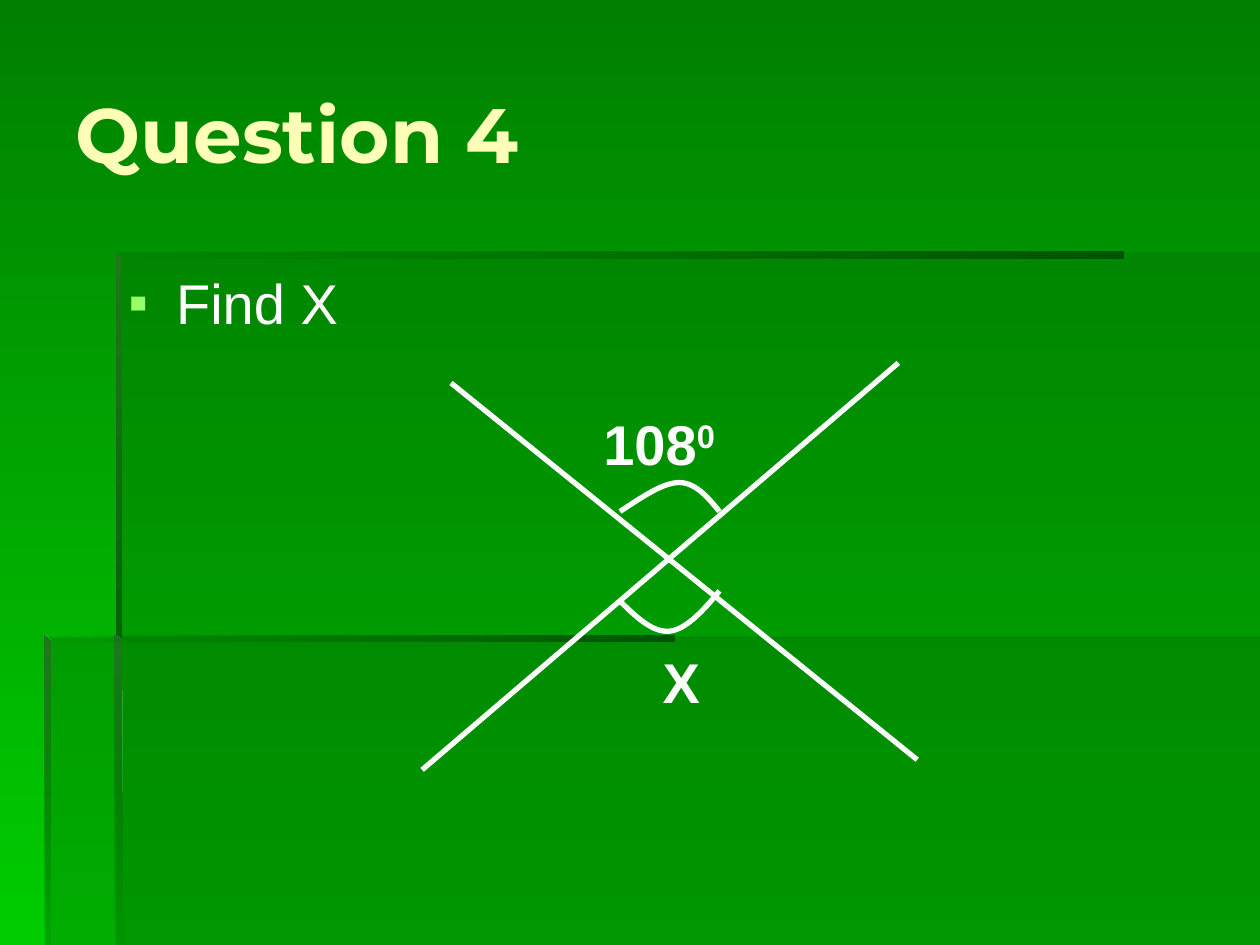
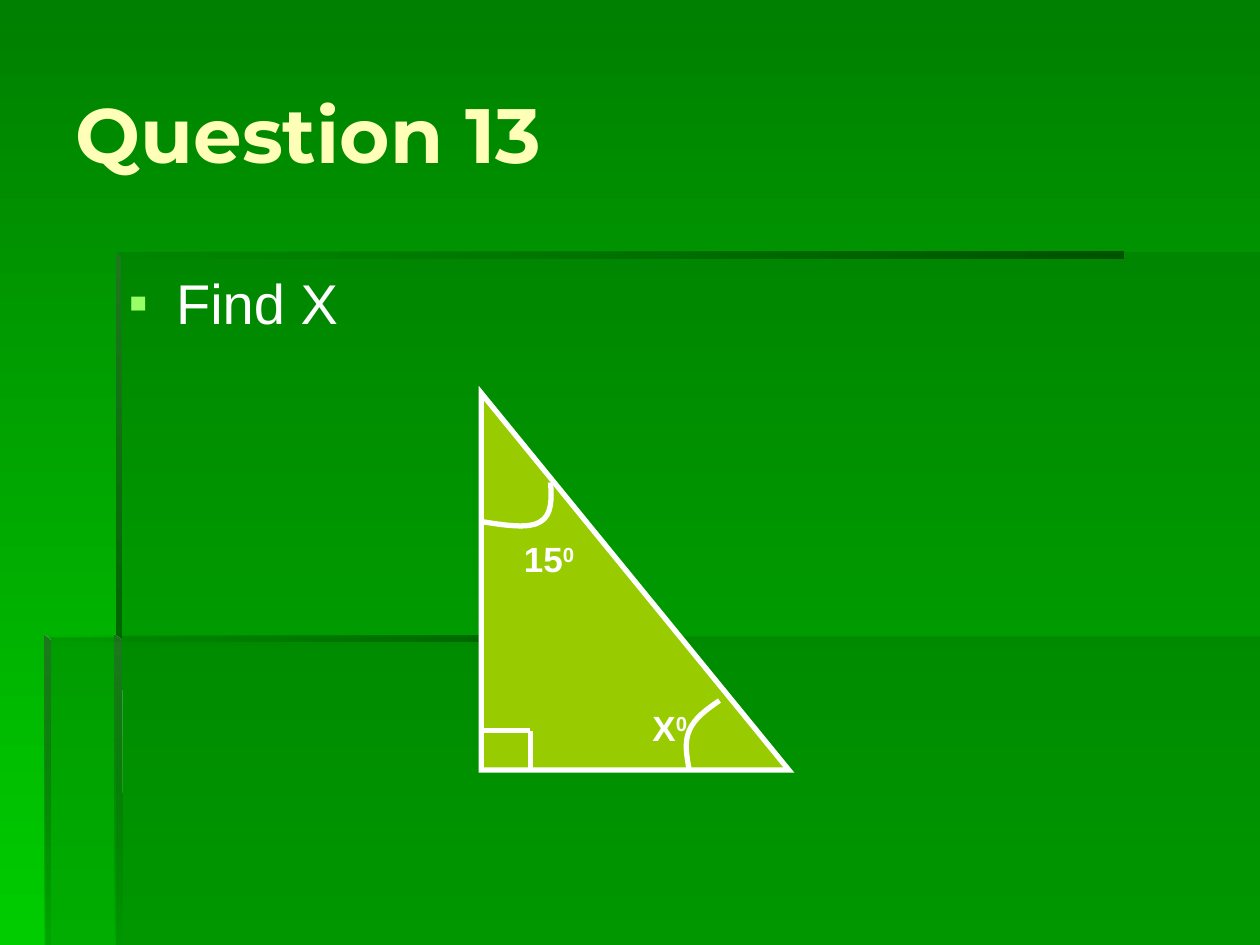
from dataclasses import dataclass
from typing import NamedTuple

from lxml.etree import SubElement
from pptx import Presentation
from pptx.dml.color import RGBColor
from pptx.dml.fill import FillFormat
from pptx.dml.line import LineFormat
from pptx.enum.shapes import MSO_CONNECTOR, MSO_SHAPE
from pptx.enum.text import MSO_ANCHOR, MSO_AUTO_SIZE, PP_ALIGN
from pptx.oxml.ns import qn
from pptx.presentation import Presentation as Deck
from pptx.shapes.freeform import FreeformBuilder
from pptx.slide import Slide
from pptx.text.text import TextFrame
from pptx.util import Inches, Pt

Point = tuple[float, float]


@dataclass(frozen=True)
class Theme:
    sky_top: str = "008000"
    sky_bottom: str = "00CC00"
    panel: str = "006600"
    ledge: str = "005300"
    post: str = "1E781E"
    title: str = "FFFFB7"
    chalk: str = "FFFFFF"
    bullet: str = "99FF66"
    triangle: str = "99CC00"
    title_font: str = "Montserrat"
    body_font: str = "Arial"
    title_size: int = 44
    body_size: int = 32
    small_size: int = 20
    stroke: int = 3


THEME = Theme()


class Panel(NamedTuple):
    corners: list[Point]
    opacity: int


class Edge(NamedTuple):
    corners: list[Point]
    start: str
    angle: int
    end_opacity: int


class Label(NamedTuple):
    text: str
    left: float
    top: float
    width: float
    height: float
    size: int
    space_before: float
    degree: str = ""


class Stroke(NamedTuple):
    begin: Point
    end: Point


LEFTWARD, DOWNWARD = 180, 270

PANELS = [
    Panel([(0.92, 5.05), (0.92, 7.5), (10, 7.5), (10, 5.05)], 30),
    Panel([(0.94, 5.06), (0.36, 5.06), (0.36, 7.5), (10, 7.5), (10, 2), (0.94, 2)], 30),
]
EDGES = [
    Edge([(0.92, 2), (0.92, 2.05), (8.92, 2.05), (8.92, 2)], THEME.ledge, LEFTWARD, 0),
    Edge([(0.92, 2), (0.92, 5.1), (0.97, 5.1), (0.96, 2.04)], THEME.post, DOWNWARD, 100),
    Edge([(0.91, 7.5), (0.97, 7.5), (0.96, 5.08), (0.91, 5.04)], THEME.post, DOWNWARD, 0),
    Edge([(0.35, 5.04), (0.35, 5.09), (5.35, 5.09), (5.35, 5.04)], THEME.ledge, LEFTWARD, 0),
    Edge([(0.35, 5.04), (0.35, 7.5), (0.4, 7.5), (0.4, 5.09)], THEME.post, DOWNWARD, 10),
]

CROSSING_LINES = [
    Stroke((3.58, 3.04), (7.28, 6.03)),
    Stroke((7.13, 2.88), (3.35, 6.11)),
]
CROSSING_ARCS = [
    [(4.92, 4.06), (5.09, 3.95), (5.26, 3.83), (5.39, 3.83),
     (5.52, 3.83), (5.62, 3.95), (5.71, 4.06)],
    [(4.92, 4.77), (5.05, 4.9), (5.18, 5.02), (5.31, 5.01),
     (5.44, 5), (5.58, 4.85), (5.71, 4.69)],
]
CROSSING_LABELS = [
    Label("108", 4.69, 3.2, 1.34, 0.64, THEME.body_size, 20, "0"),
    Label("X", 5.16, 5.09, 0.71, 0.64, THEME.body_size, 20),
]

RIGHT_ANGLE_MARK = [
    Stroke((3.82, 5.8), (4.21, 5.8)),
    Stroke((4.21, 5.8), (4.21, 6.11)),
]
TRIANGLE_ARCS = [
    [(3.82, 4.14), (4.01, 4.17), (4.2, 4.2), (4.29, 4.14),
     (4.38, 4.09), (4.38, 3.96), (4.37, 3.83)],
    [(5.71, 5.56), (5.61, 5.63), (5.51, 5.7), (5.47, 5.8),
     (5.43, 5.89), (5.45, 6), (5.47, 6.11)],
]
TRIANGLE_LABELS = [
    Label("X", 5.08, 5.56, 0.63, 0.44, THEME.small_size, 12.5, "0"),
    Label("15", 4.06, 4.22, 0.63, 0.44, THEME.small_size, 12.5, "0"),
]


def rgb(code: str) -> RGBColor:
    return RGBColor.from_string(code)


def write(frame: TextFrame, text: str, *, size: float, color: str = THEME.chalk,
          font: str = THEME.body_font, bold: bool = False, superscript: str = "",
          space_before: float = 0, anchor: MSO_ANCHOR = MSO_ANCHOR.TOP,
          fit: MSO_AUTO_SIZE = MSO_AUTO_SIZE.NONE, bullet: str = "") -> None:
    frame.word_wrap = True
    frame.auto_size = fit
    frame.vertical_anchor = anchor
    paragraph = frame.paragraphs[0]
    paragraph.alignment = PP_ALIGN.LEFT
    paragraph.space_before = Pt(space_before)
    for part in filter(None, (text, superscript)):
        run = paragraph.add_run()
        run.text = part
        run.font.name = font
        run.font.size = Pt(size)
        run.font.bold = bold
        run.font.color.rgb = rgb(color)
    if superscript:
        run.font._element.set("baseline", "30000")
    if bullet:
        properties = paragraph._p.get_or_add_pPr()
        properties.set("marL", str(Inches(0.38)))
        properties.set("indent", str(Inches(-0.38)))
        bullet_color = SubElement(properties, qn("a:buClr"))
        SubElement(bullet_color, qn("a:srgbClr"), val=THEME.bullet)
        SubElement(properties, qn("a:buFont"), typeface=font)
        SubElement(properties, qn("a:buChar"), char=bullet)


def fade(fill: FillFormat, start: str, end: str, angle: int) -> None:
    fill.gradient()
    fill.gradient_angle = angle
    for stop, color in zip(fill.gradient_stops, (start, end)):
        stop.color.rgb = rgb(color)


def set_opacity(shape, percent: int) -> None:
    last_color = list(shape._element.spPr.iter(qn("a:srgbClr")))[-1]
    SubElement(last_color, qn("a:alpha"), val=str(percent * 1000))


def chalk_line(line: LineFormat) -> None:
    line.color.rgb = rgb(THEME.chalk)
    line.width = Pt(THEME.stroke)
    SubElement(line._ln, qn("a:miter"), lim="800000")


def outline(slide: Slide, points: list[Point], close: bool) -> FreeformBuilder:
    corners = [(Inches(x), Inches(y)) for x, y in points]
    builder = slide.shapes.build_freeform(*corners[0])
    builder.add_line_segments(corners[1:], close=close)
    return builder


def add_polygon(slide: Slide, corners: list[Point]):
    polygon = outline(slide, corners, True).convert_to_shape()
    polygon.shadow.inherit = False
    polygon.line.fill.background()
    return polygon


def add_arc(slide: Slide, points: list[Point]) -> None:
    arc = outline(slide, points, False).convert_to_shape()
    arc.shadow.inherit = False
    arc.fill.background()
    chalk_line(arc.line)
    segments = list(arc._element.iter(qn("a:lnTo")))
    for first in range(0, len(segments), 3):
        curve = SubElement(segments[first].getparent(), qn("a:cubicBezTo"))
        for segment in segments[first:first + 3]:
            curve.append(segment[0])
            segment.getparent().remove(segment)


def add_stroke(slide: Slide, stroke: Stroke) -> None:
    ends = [Inches(value) for value in (*stroke.begin, *stroke.end)]
    connector = slide.shapes.add_connector(MSO_CONNECTOR.STRAIGHT, *ends)
    chalk_line(connector.line)
    SubElement(connector._element.spPr, qn("a:effectLst"))


def add_label(slide: Slide, label: Label) -> None:
    box = slide.shapes.add_textbox(Inches(label.left), Inches(label.top),
                                   Inches(label.width), Inches(label.height))
    write(box.text_frame, label.text, size=label.size, bold=True,
          superscript=label.degree, space_before=label.space_before,
          fit=MSO_AUTO_SIZE.SHAPE_TO_FIT_TEXT)


def add_backdrop(slide: Slide) -> None:
    for panel in PANELS:
        area = add_polygon(slide, panel.corners)
        area.fill.solid()
        area.fill.fore_color.rgb = rgb(THEME.panel)
        set_opacity(area, panel.opacity)
    for edge in EDGES:
        strip = add_polygon(slide, edge.corners)
        fade(strip.fill, edge.start, THEME.panel, edge.angle)
        set_opacity(strip, edge.end_opacity)


def add_question(deck: Deck, heading: str) -> Slide:
    slide = deck.slides.add_slide(deck.slide_layouts[5])
    add_backdrop(slide)
    title = slide.shapes.title
    title.left, title.top = Inches(0.5), Inches(0.27)
    title.width, title.height = Inches(9.17), Inches(1.57)
    write(title.text_frame, heading, size=THEME.title_size, color=THEME.title,
          font=THEME.title_font, bold=True, anchor=MSO_ANCHOR.MIDDLE)
    task = slide.shapes.add_textbox(Inches(0.92), Inches(2.08), Inches(8.76), Inches(4.58))
    write(task.text_frame, "Find X", size=THEME.body_size, space_before=8, bullet="▪")
    return slide


def add_figure(slide: Slide, strokes: list[Stroke], arcs: list[list[Point]],
               labels: list[Label]) -> None:
    for stroke in strokes:
        add_stroke(slide, stroke)
    for arc in arcs:
        add_arc(slide, arc)
    for label in labels:
        add_label(slide, label)


def add_triangle(slide: Slide) -> None:
    triangle = slide.shapes.add_shape(MSO_SHAPE.RIGHT_TRIANGLE, Inches(3.82), Inches(3.12),
                                      Inches(2.44), Inches(2.99))
    triangle.shadow.inherit = False
    triangle.fill.solid()
    triangle.fill.fore_color.rgb = rgb(THEME.triangle)
    chalk_line(triangle.line)


def main() -> None:
    deck = Presentation()
    deck.slide_width, deck.slide_height = Inches(10), Inches(7.5)
    fade(deck.slide_master.background.fill, THEME.sky_top, THEME.sky_bottom, DOWNWARD)

    crossing = add_question(deck, "Question 4")
    add_figure(crossing, CROSSING_LINES, CROSSING_ARCS, CROSSING_LABELS)

    right_triangle = add_question(deck, "Question 13")
    add_triangle(right_triangle)
    add_figure(right_triangle, RIGHT_ANGLE_MARK, TRIANGLE_ARCS, TRIANGLE_LABELS)

    deck.save("out.pptx")


if __name__ == "__main__":
    main()
